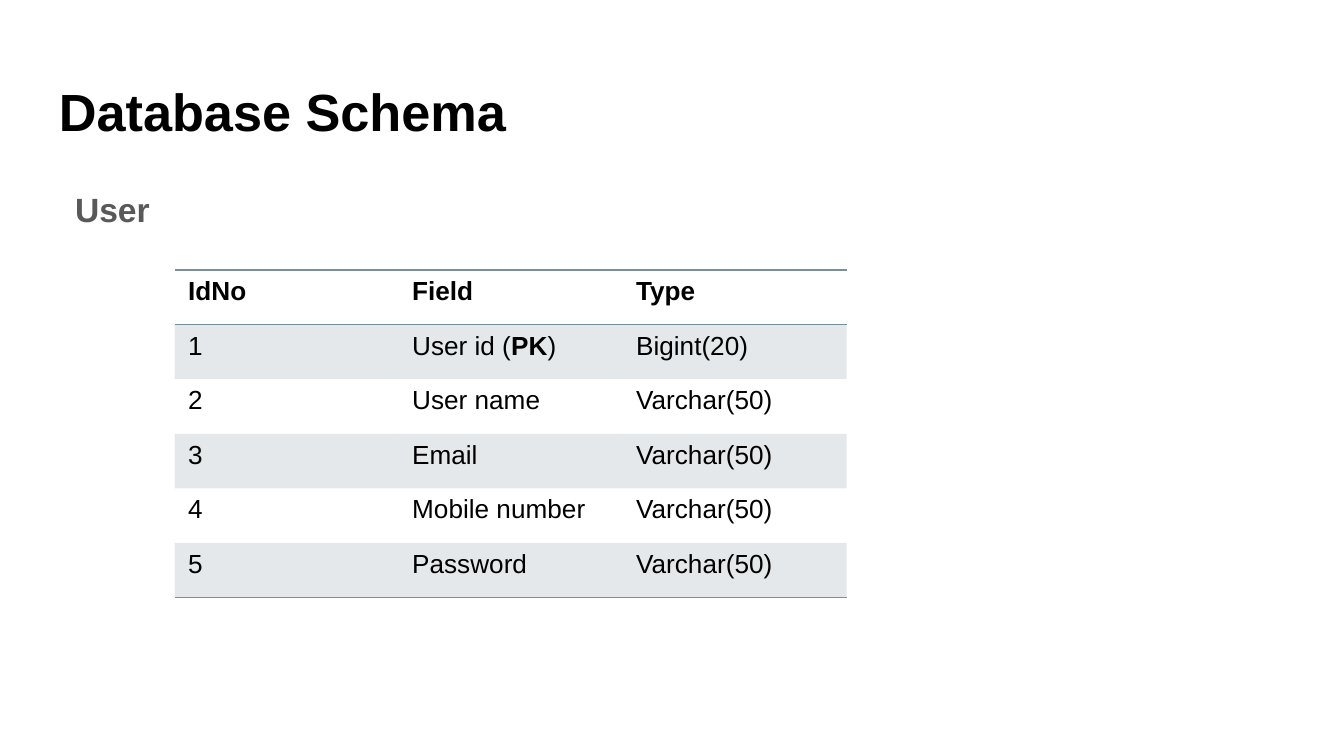
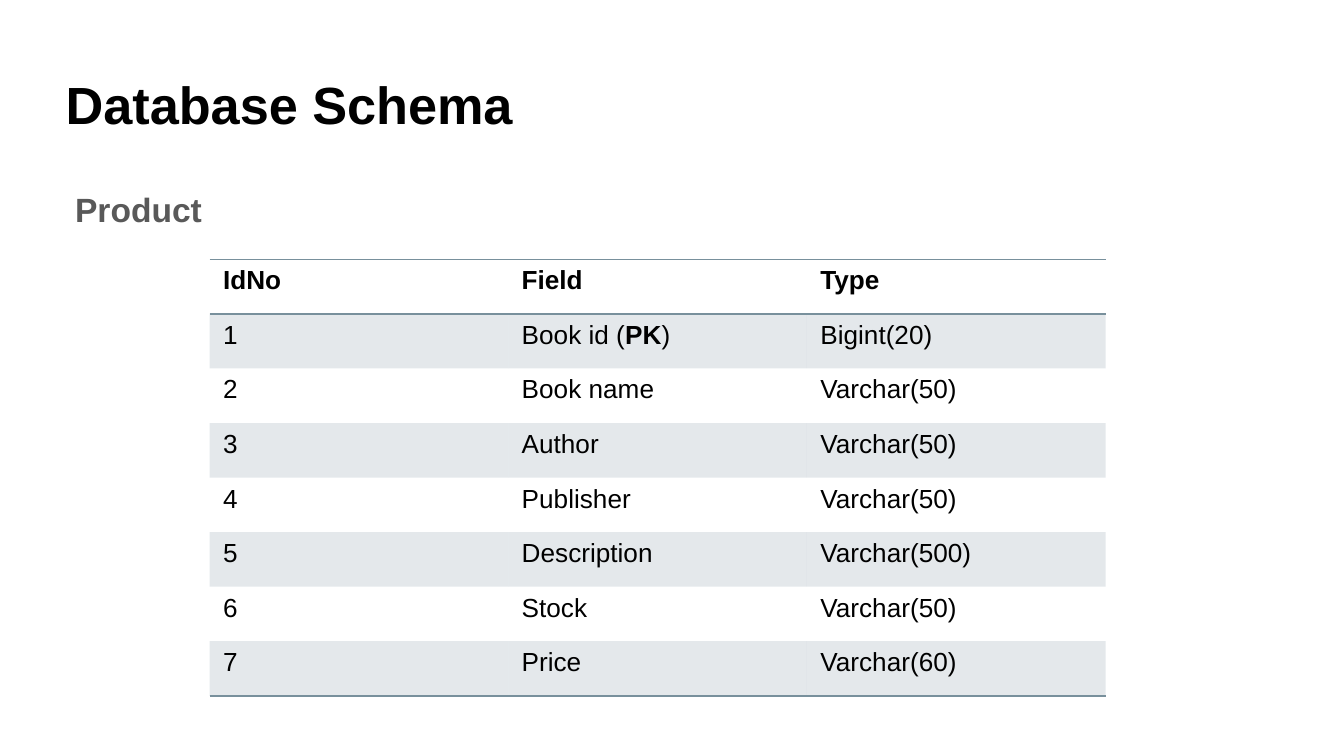
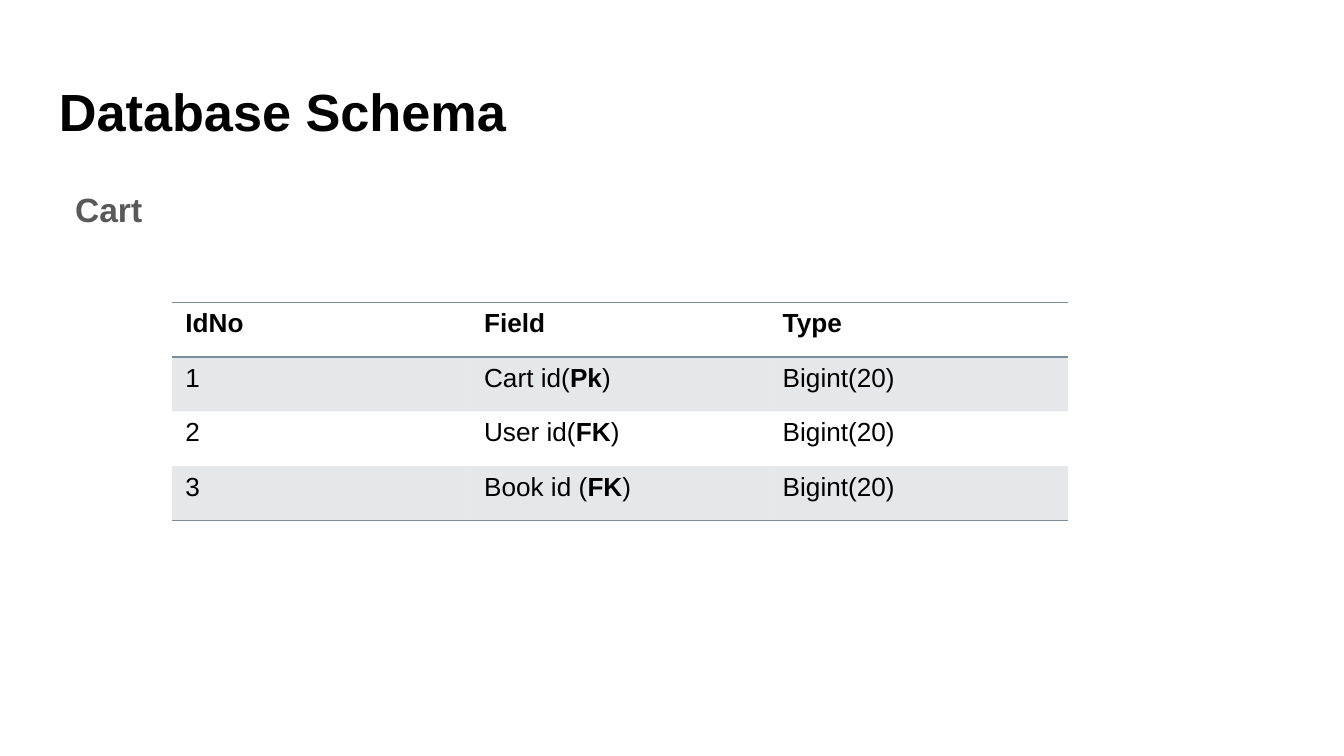
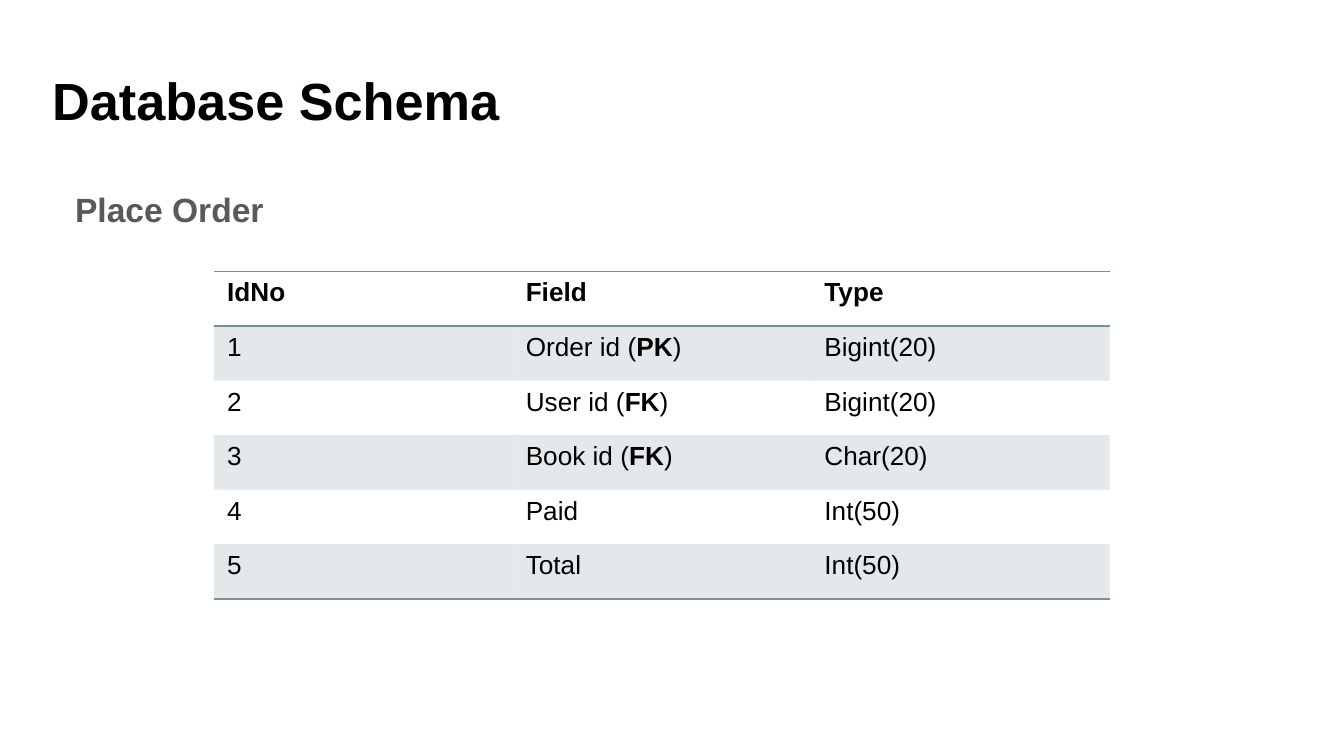
from dataclasses import dataclass

from lxml import etree
from pptx import Presentation, util as u
from pptx.dml.color import RGBColor
from pptx.enum import text as t
from pptx.oxml import ns

SLIDE_WIDTH = u.Inches(10)
SLIDE_HEIGHT = SLIDE_WIDTH * 9 // 16
GRID_COLUMNS = 100  # square cells, so rows are as tall as columns are wide
BLANK_LAYOUT = 6
NO_STYLE_NO_GRID = "{2D5ABB26-0587-4C30-8999-92F81FD0307C}"


@dataclass(frozen=True)
class Theme:
    font: str = "Arial"
    background: str = "FFFFFF"
    ink: str = "000000"
    muted: str = "595959"
    accent: str = "78909C"
    band_opacity: int = 20
    rule_width: float = 1
    title_size: int = 28
    heading_size: int = 18
    table_size: int = 14


@dataclass(frozen=True)
class Area:
    """A rectangle in grid cells."""
    left: float
    top: float
    width: float = 93.2
    height: float = 6.3


@dataclass(frozen=True)
class Schema:
    """One slide; asterisks in a field name enclose its bold key mark."""
    name: str
    fields: tuple[tuple[str, str], ...]
    table_left: float
    table_top: float
    table_share: float = 2 / 3
    title_area: Area = Area(3.4, 4.9)


THEME = Theme()
TITLE = "Database Schema"
HEADER = ("IdNo", "Field", "Type")
HEADING_AREA = Area(3.4, 12.6, height=37.4)
HEADING_INDENT = 1.2
ROW_HEIGHT = 4.06

SCHEMAS = (
    Schema("User", (
        ("User id (*PK*)", "Bigint(20)"),
        ("User name", "Varchar(50)"),
        ("Email", "Varchar(50)"),
        ("Mobile number", "Varchar(50)"),
        ("Password", "Varchar(50)"),
    ), 13, 20.1, table_share=1 / 2),
    Schema("Product", (
        ("Book id (*PK*)", "Bigint(20)"),
        ("Book name", "Varchar(50)"),
        ("Author", "Varchar(50)"),
        ("Publisher", "Varchar(50)"),
        ("Description", "Varchar(500)"),
        ("Stock", "Varchar(50)"),
        ("Price", "Varchar(60)"),
    ), 15.6, 19.3, title_area=Area(3.9, 4.4)),
    Schema("Cart", (
        ("Cart id(*Pk*)", "Bigint(20)"),
        ("User id(*FK*)", "Bigint(20)"),
        ("Book id (*FK*)", "Bigint(20)"),
    ), 12.8, 22.5),
    Schema("Place Order", (
        ("Order id (*PK*)", "Bigint(20)"),
        ("User id (*FK*)", "Bigint(20)"),
        ("Book id (*FK*)", "Char(20)"),
        ("Paid", "Int(50)"),
        ("Total", "Int(50)"),
    ), 15.9, 20.2, title_area=Area(2.9, 4.1)),
)


def cells(count: float) -> int:
    """Length of a number of grid cells."""
    return round(count * SLIDE_WIDTH / GRID_COLUMNS)


def write(frame, words: str, *, size: int, color: str = THEME.ink, bold: bool = False,
          indent: float = 0, line_spacing: float | None = None) -> None:
    """Fill a text frame; words between asterisks are bold."""
    para = frame.paragraphs[0]
    para.alignment = t.PP_ALIGN.LEFT
    if line_spacing:
        para.line_spacing = line_spacing
    if indent:
        properties = para._p.get_or_add_pPr()
        properties.set("marL", str(cells(indent)))
        properties.set("indent", "0")
    for index, part in enumerate(words.split("*")):
        span = para.add_run()
        span.text = part
        span.font.name = THEME.font
        span.font.size = u.Pt(size)
        span.font.bold = bold or index % 2 == 1
        span.font.color.rgb = RGBColor.from_string(color)


def add_text(page, area: Area, words: str, **style) -> None:
    box = page.shapes.add_textbox(*map(cells, (area.left, area.top, area.width, area.height)))
    frame = box.text_frame
    frame.word_wrap = True
    frame.vertical_anchor = t.MSO_ANCHOR.TOP
    frame.margin_left = frame.margin_right = cells(1)
    frame.margin_top = frame.margin_bottom = cells(1)
    write(frame, words, **style)


def add_rule(cell, side: str) -> None:
    """Draw a cell border; side is T or B."""
    line = etree.SubElement(cell._tc.get_or_add_tcPr(), ns.qn(f"a:ln{side}"),
                            w=str(u.Pt(THEME.rule_width)))
    fill = etree.SubElement(line, ns.qn("a:solidFill"))
    etree.SubElement(fill, ns.qn("a:srgbClr"), val=THEME.accent)


def shade(cell) -> None:
    cell.fill.solid()
    cell.fill.fore_color.rgb = RGBColor.from_string(THEME.accent)
    color = cell._tc.tcPr.find(".//" + ns.qn("a:srgbClr"))
    if cell._tc.tcPr.find(ns.qn("a:solidFill")) is not None:
        color = cell._tc.tcPr.find(ns.qn("a:solidFill"))[0]
    etree.SubElement(color, ns.qn("a:alpha"), val=str(THEME.band_opacity * 1000))


def add_schema_table(page, schema: Schema) -> None:
    rows = [HEADER] + [(str(number), *field) for number, field in enumerate(schema.fields, 1)]
    width = schema.table_share * GRID_COLUMNS
    frame = page.shapes.add_table(
        len(rows), len(HEADER), cells(schema.table_left), cells(schema.table_top),
        cells(width), cells(ROW_HEIGHT * len(rows)))
    table = frame.table
    table.horz_banding = False
    table._tbl.tblPr.find(ns.qn("a:tableStyleId")).text = NO_STYLE_NO_GRID
    for column in table.columns:
        column.width = cells(width / len(HEADER))
    for row_index, row in enumerate(rows):
        table.rows[row_index].height = cells(ROW_HEIGHT)
        is_header = row_index == 0
        for column_index, words in enumerate(row):
            cell = table.cell(row_index, column_index)
            cell.margin_left = cell.margin_right = cells(1)
            cell.margin_top = cell.margin_bottom = cells(0.5)
            write(cell.text_frame, words, size=THEME.table_size, bold=is_header)
            if is_header:
                add_rule(cell, "T")
            if is_header or row_index == len(rows) - 1:
                add_rule(cell, "B")
            if row_index % 2:
                shade(cell)
            else:
                cell.fill.background()


def add_schema_page(deck, schema: Schema) -> None:
    page = deck.slides.add_slide(deck.slide_layouts[BLANK_LAYOUT])
    page.background.fill.solid()
    page.background.fill.fore_color.rgb = RGBColor.from_string(THEME.background)
    add_text(page, schema.title_area, TITLE, size=THEME.title_size, bold=True)
    add_text(page, HEADING_AREA, schema.name, size=THEME.heading_size, color=THEME.muted,
             bold=True, indent=HEADING_INDENT, line_spacing=1.15)
    add_schema_table(page, schema)


def main() -> None:
    deck = Presentation()
    deck.slide_width, deck.slide_height = SLIDE_WIDTH, SLIDE_HEIGHT
    for schema in SCHEMAS:
        add_schema_page(deck, schema)
    deck.save("out.pptx")


if __name__ == "__main__":
    main()
